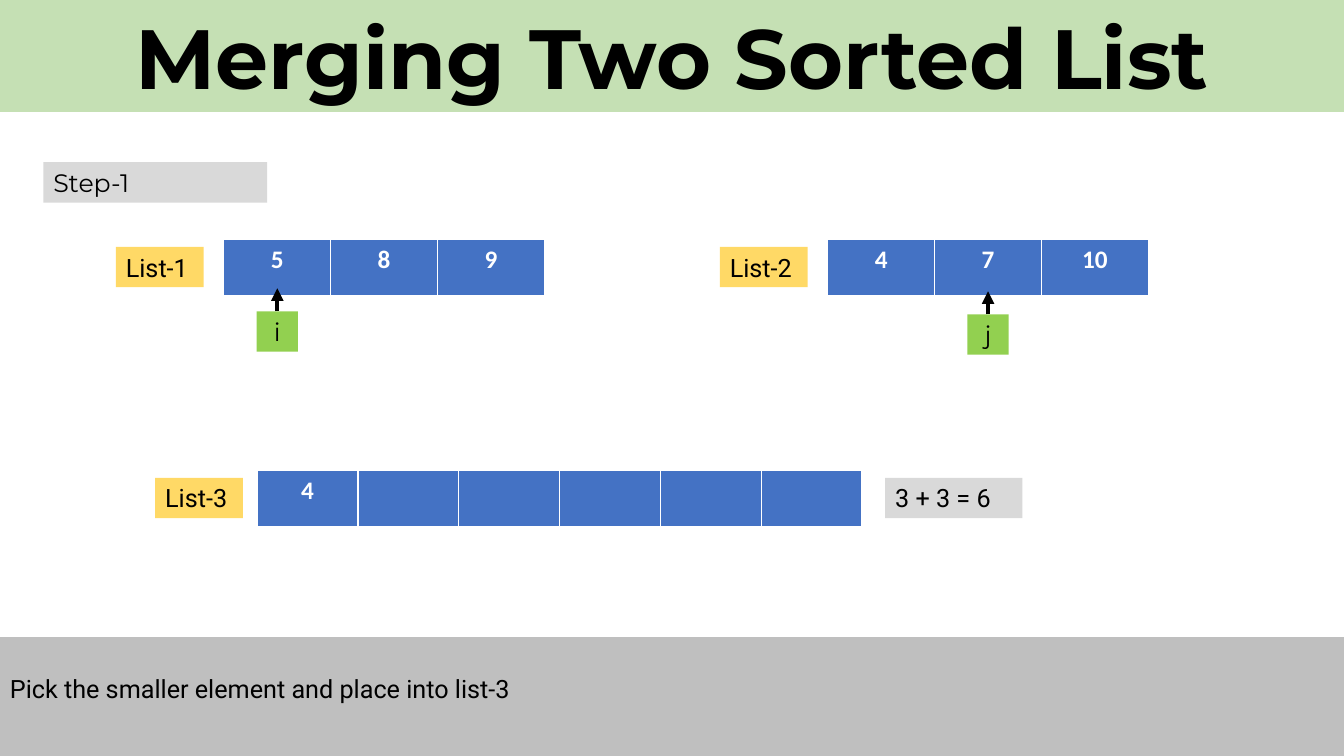
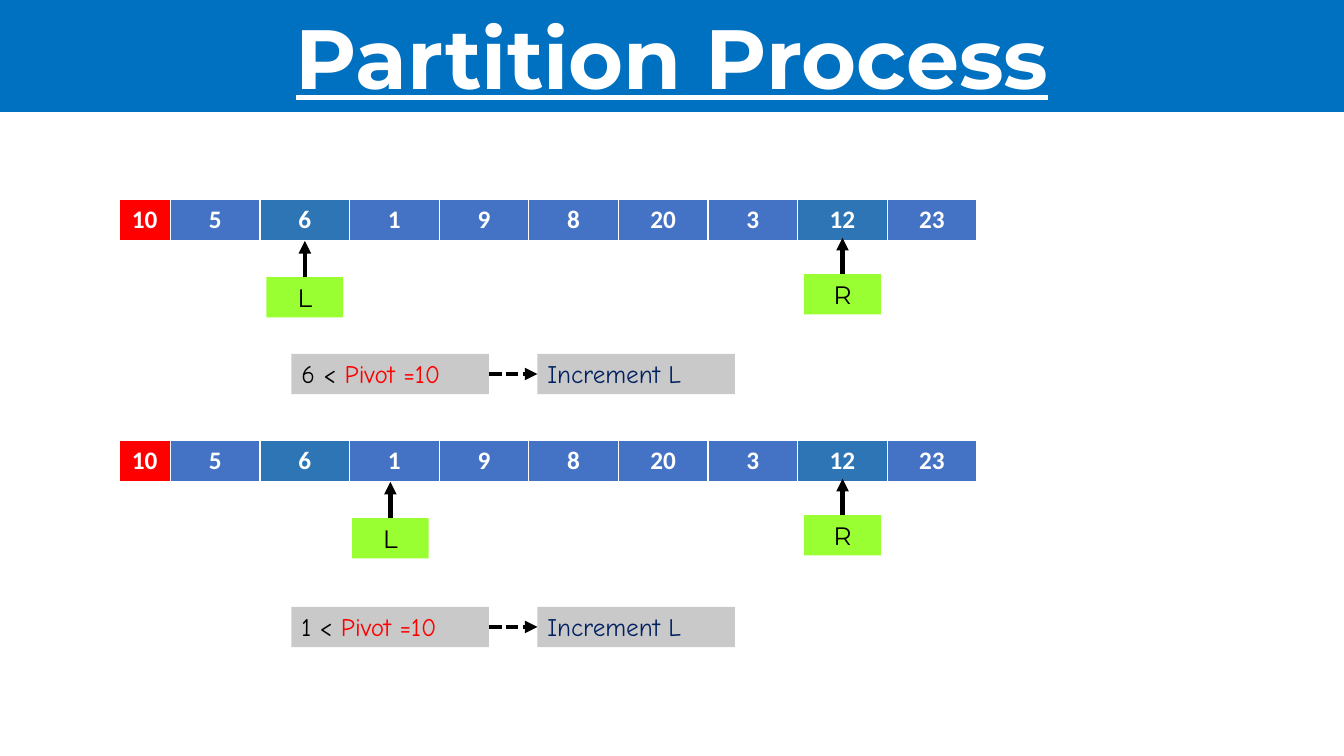
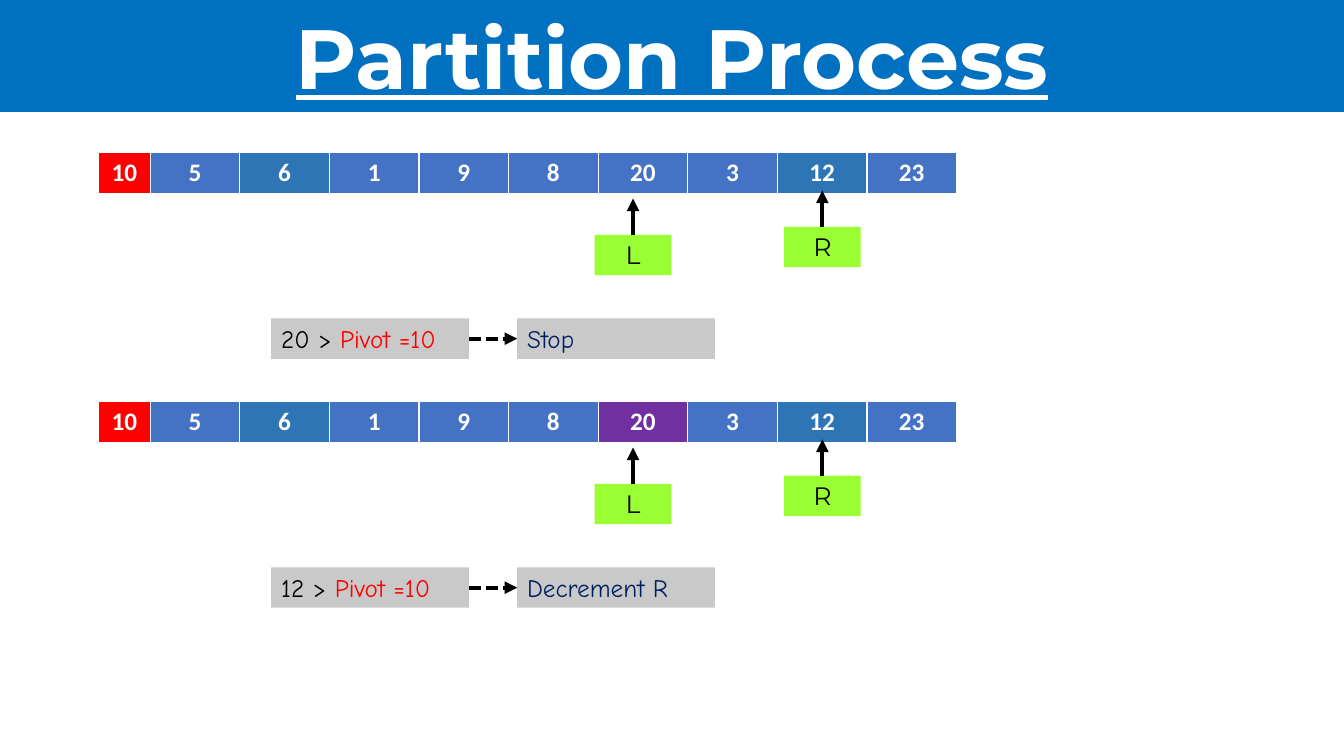
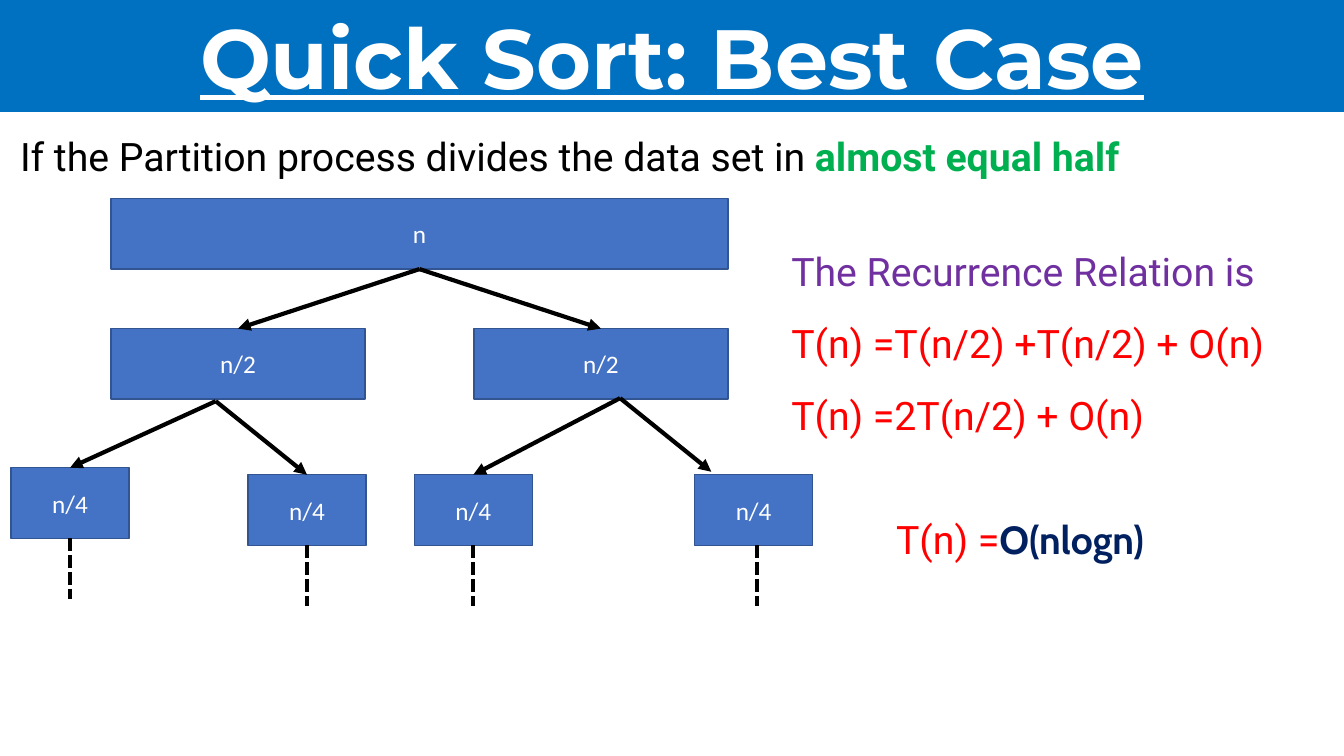
from pptx import Presentation
from pptx import util as u
from pptx.dml.color import RGBColor
from pptx.enum import dml, shapes, text
from pptx.oxml import ns
from lxml import etree

# Shared style
WIDTH, HEIGHT = 13.33, 7.5
BLACK = RGBColor(0x00, 0x00, 0x00)
WHITE = RGBColor(0xFF, 0xFF, 0xFF)
RED = RGBColor(0xFF, 0x00, 0x00)
NAVY = RGBColor(0x00, 0x20, 0x60)
PURPLE = RGBColor(0x70, 0x30, 0xA0)
GREEN = RGBColor(0x00, 0xB0, 0x50)
BAND_BLUE = RGBColor(0x00, 0x70, 0xC0)
BAND_GREEN = RGBColor(0xC5, 0xE0, 0xB4)
CELL_BLUE = RGBColor(0x44, 0x72, 0xC4)
MARKED_BLUE = RGBColor(0x2E, 0x75, 0xB6)
OUTLINE = RGBColor(0x32, 0x54, 0x91)
YELLOW = RGBColor(0xFF, 0xD9, 0x66)
LEAF = RGBColor(0x92, 0xD0, 0x50)
LIME = RGBColor(0x99, 0xFF, 0x33)
LIGHT_GREY = RGBColor(0xD9, 0xD9, 0xD9)
MID_GREY = RGBColor(0xC9, 0xC9, 0xC9)
NOTE_GREY = RGBColor(0xBF, 0xBF, 0xBF)
HEADING, BODY, TABLE, CASUAL = "Montserrat", "Roboto", "Calibri", "Comic Neue"
BAND_HEIGHT, LABEL_HEIGHT = 1.11, 0.4
CENTER = text.PP_ALIGN.CENTER
MIDDLE = text.MSO_ANCHOR.MIDDLE

# Merging slide: name, label left, label top, table left, table top, column width, values
LISTS = [
    ("List-1", 1.15, 2.45, 2.22, 2.38, 1.06, ["5", "8", "9"]),
    ("List-2", 7.14, 2.45, 8.21, 2.38, 1.06, ["4", "7", "10"]),
    ("List-3", 1.54, 4.74, 2.55, 4.67, 1.0, ["4", "", "", "", "", ""]),
]
# Name, centre, top
INDEXES = [("i", 2.75, 3.09), ("j", 9.8, 3.12)]

# Partition slides
VALUES = ["10", "5", "6", "1", "9", "8", "20", "3", "12", "23"]
PIVOT_WIDTH, VALUE_WIDTH = 0.51, 8 / 9
MARKS = {0: RED, 2: MARKED_BLUE, 8: MARKED_BLUE}
PARTITIONS = [
    [dict(left=1.18, top=1.98, column=2, shift=0, drop=0.77, compare=1.53,
          test="6 < ", action="Increment L", marks=MARKS),
     dict(left=1.18, top=4.37, column=3, shift=-0.04, drop=0.77, compare=1.65,
          test="1 < ", action="Increment L", marks=MARKS)],
    [dict(left=0.98, top=1.51, column=6, shift=-0.1, drop=0.82, compare=1.65,
          test="20 > ", action="Stop", marks=MARKS),
     dict(left=0.98, top=3.98, column=6, shift=-0.1, drop=0.82, compare=1.65,
          test="12 > ", action="Decrement R", marks={**MARKS, 6: PURPLE})],
]
RIGHT_COLUMN, RIGHT_DROP = 8, 0.74

# Best case slide: label, left, top, width
NODE_HEIGHT = 0.7
NODES = [
    ("n", 1.1, 1.97, 6.12),
    ("n/2", 1.1, 3.26, 2.52), ("n/2", 4.7, 3.26, 2.52),
    ("n/4", 0.11, 4.64, 1.17), ("n/4", 2.46, 4.71, 1.17),
    ("n/4", 4.11, 4.71, 1.17), ("n/4", 6.89, 4.71, 1.17),
]
# Fork point and the nodes it leads to, each with a shift of the arrow's end
FORKS = [
    ((4.16, 2.67), [(1, 0, 0), (2, 0, 0)]),
    ((2.14, 3.98), [(3, 0, 0), (4, 0, 0)]),
    ((6.15, 3.95), [(5, 0, 0), (6, -0.42, -0.03)]),
]
STUBS = [(3, 0), (4, 0), (5, 0), (6, 0.03)]
STUB_LENGTH = 0.6
# Left, top, width, runs
STATEMENTS = [
    (0.1, 1.26, 12.52, [("If the Partition process divides the data set in ", {}),
                        ("almost equal half", dict(color=GREEN, bold=True))]),
    (7.75, 2.4, 5.5, [("The Recurrence Relation is", dict(color=PURPLE))]),
    (7.75, 3.12, 5.5, [("T(n) =T(n/2) +T(n/2) + O(n)", dict(color=RED))]),
    (7.75, 3.83, 5.5, [("T(n) =2T(n/2) + O(n)", dict(color=RED))]),
    (8.79, 5.06, 4.4, [("T(n) =", dict(color=RED)),
                       ("O(nlogn)", dict(font="Cabin", color=NAVY, bold=True))]),
]


# Helpers
def box_of(*lengths):
    return [u.Inches(length) for length in lengths]


def write(frame, content, size=18, font=BODY, color=BLACK, bold=False,
          underline=False, align=text.PP_ALIGN.LEFT):
    """Write one paragraph; content is a string or (text, overrides) runs."""
    paragraph = frame.paragraphs[0]
    paragraph.alignment = align
    runs = [(content, {})] if isinstance(content, str) else content
    for words, changes in runs:
        run = paragraph.add_run()
        run.text = words
        run.font.size = u.Pt(size)
        run.font.name = changes.get("font", font)
        run.font.color.rgb = changes.get("color", color)
        run.font.bold = changes.get("bold", bold)
        run.font.underline = underline


def add_box(slide, left, top, width, height, fill, content,
            anchor=text.MSO_ANCHOR.TOP, outline=None, **style):
    shape = slide.shapes.add_shape(shapes.MSO_SHAPE.RECTANGLE,
                                   *box_of(left, top, width, height))
    shape.shadow.inherit = False
    shape.fill.solid()
    shape.fill.fore_color.rgb = fill
    if outline is None:
        shape.line.fill.background()
    else:
        shape.line.color.rgb = outline
        shape.line.width = u.Pt(1)
    shape.text_frame.word_wrap = True
    shape.text_frame.vertical_anchor = anchor
    write(shape.text_frame, content, **style)
    return shape


def add_line(slide, start, end, arrow=True, dashed=False):
    line = slide.shapes.add_connector(shapes.MSO_CONNECTOR.STRAIGHT,
                                      *box_of(*start, *end))
    line.line.color.rgb = BLACK
    line.line.width = u.Pt(3)
    if dashed:
        line.line.dash_style = dml.MSO_LINE.SQUARE_DOT
    properties = line._element.spPr
    if arrow:
        outline = properties.find(ns.qn("a:ln"))
        etree.SubElement(outline, ns.qn("a:tailEnd"), type="triangle")
    etree.SubElement(properties, ns.qn("a:effectLst"))


def add_row(slide, left, top, height, widths, values, marks):
    """A one-row table; its default style draws the white cell borders."""
    table = slide.shapes.add_table(
        1, len(values), *box_of(left, top, sum(widths), height)).table
    for index, (width, value) in enumerate(zip(widths, values)):
        table.columns[index].width = u.Inches(width)
        cell = table.cell(0, index)
        cell.fill.solid()
        cell.fill.fore_color.rgb = marks.get(index, CELL_BLUE)
        if value:
            write(cell.text_frame, value, font=TABLE, color=WHITE, bold=True, align=CENTER)


def add_pointer(slide, name, center, top, width, length, fill):
    add_box(slide, center - width / 2, top, width, LABEL_HEIGHT, fill, name,
            font=HEADING, align=CENTER)
    add_line(slide, (center, top), (center, top - length))


def add_slide(presentation, title, band=BAND_BLUE, color=WHITE, underline=True):
    slide = presentation.slides.add_slide(presentation.slide_layouts[5])
    shape = slide.shapes.title
    shape.left, shape.top, shape.width, shape.height = box_of(0, 0, WIDTH, BAND_HEIGHT)
    shape.fill.solid()
    shape.fill.fore_color.rgb = band
    frame = shape.text_frame
    frame.auto_size = text.MSO_AUTO_SIZE.NONE
    frame.vertical_anchor = text.MSO_ANCHOR.TOP
    write(frame, title, size=60, font=HEADING, color=color, bold=True,
          underline=underline, align=CENTER)
    return slide


# Slides
def build_merging(presentation):
    slide = add_slide(presentation, "Merging Two Sorted List", BAND_GREEN, BLACK, False)
    add_box(slide, 0.43, 1.61, 2.22, LABEL_HEIGHT, LIGHT_GREY, "Step-1", font=HEADING)
    for name, label_left, label_top, left, top, width, values in LISTS:
        add_row(slide, left, top, 0.55, [width] * len(values), values, {})
        add_box(slide, label_left, label_top, 0.87, LABEL_HEIGHT, YELLOW, name)
    for name, center, top in INDEXES:
        add_pointer(slide, name, center, top, 0.41, 0.23, LEAF)
    add_box(slide, 8.78, 4.74, 1.36, LABEL_HEIGHT, LIGHT_GREY, "3 + 3 = 6")
    note_top = 6.32
    note = add_box(slide, 0, note_top, WIDTH, HEIGHT - note_top, NOTE_GREY,
                   "Pick the smaller element and place into list-3")
    note.text_frame.margin_top = u.Inches(0.36)


def build_partition(presentation, stages):
    slide = add_slide(presentation, "Partition Process")
    widths = [PIVOT_WIDTH] + [VALUE_WIDTH] * (len(VALUES) - 1)
    test_width, gap = 1.96, 0.48
    for stage in stages:
        left, top = stage["left"], stage["top"]
        add_row(slide, left, top, 0.41, widths, VALUES, stage["marks"])
        # Pointers under their columns
        for name, column, shift, drop in (
                ("L", stage["column"], stage["shift"], stage["drop"]),
                ("R", RIGHT_COLUMN, 0, RIGHT_DROP)):
            center = left + sum(widths[:column]) + widths[column] / 2 + shift
            add_pointer(slide, name, center, top + drop, 0.76, 0.36, LIME)
        # Comparison and what follows from it
        test_left, test_top = left + 1.71, top + stage["compare"]
        action_left = test_left + test_width + gap
        add_box(slide, test_left, test_top, test_width, LABEL_HEIGHT, MID_GREY,
                [(stage["test"], {}), ("Pivot =10", dict(color=RED))], font=CASUAL)
        add_box(slide, action_left, test_top, test_width, LABEL_HEIGHT, MID_GREY,
                stage["action"], font=CASUAL, color=NAVY)
        middle = test_top + LABEL_HEIGHT / 2
        add_line(slide, (test_left + test_width, middle), (action_left, middle), dashed=True)


def build_best_case(presentation):
    slide = add_slide(presentation, "Quick Sort: Best Case")
    for label, left, top, width in NODES:
        add_box(slide, left, top, width, NODE_HEIGHT, CELL_BLUE, label, anchor=MIDDLE,
                outline=OUTLINE, font=TABLE, color=WHITE, align=CENTER)
    tops = [(left + width / 2, top) for _, left, top, width in NODES]
    for fork, branches in FORKS:
        for node, across, down in branches:
            x, y = tops[node]
            add_line(slide, fork, (x + across, y + down))
    for node, across in STUBS:
        x, y = tops[node][0] + across, tops[node][1] + NODE_HEIGHT
        add_line(slide, (x, y), (x, y + STUB_LENGTH), arrow=False, dashed=True)
    for left, top, width, runs in STATEMENTS:
        frame = slide.shapes.add_textbox(*box_of(left, top, width, 0.57)).text_frame
        frame.word_wrap = True
        write(frame, runs, size=28)


def main():
    presentation = Presentation()
    presentation.slide_width, presentation.slide_height = box_of(WIDTH, HEIGHT)
    build_merging(presentation)
    for stages in PARTITIONS:
        build_partition(presentation, stages)
    build_best_case(presentation)
    presentation.save("out.pptx")


if __name__ == "__main__":
    main()
